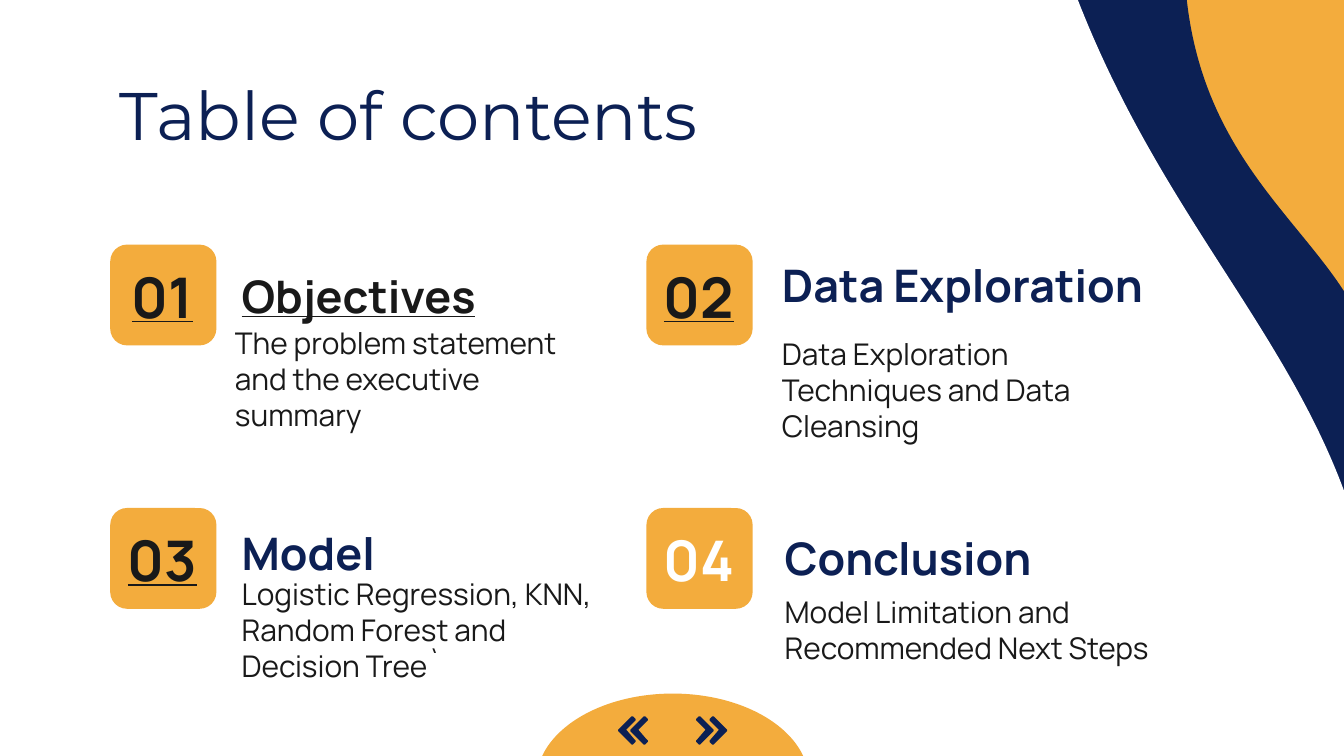
from pptx import Presentation
from pptx.dml.color import RGBColor
from pptx.enum.shapes import MSO_SHAPE
from pptx.enum.text import MSO_ANCHOR, MSO_AUTO_SIZE, PP_ALIGN
from pptx.util import Inches, Pt

WAVE = MSO_SHAPE.FLOWCHART_DOCUMENT
TILE = MSO_SHAPE.ROUNDED_RECTANGLE
PIE = MSO_SHAPE.PIE
MIDDLE = MSO_ANCHOR.MIDDLE
FIXED = MSO_AUTO_SIZE.NONE
LEFT, CENTER = PP_ALIGN.LEFT, PP_ALIGN.CENTER

COLORS = {"gold": "F3AC3D", "navy": "0C2054", "white": "FFFFFF", "ink": "191919"}

TOPICS = [
    dict(num="01", tile=(0.82, 1.82), shade="ink", line=True,
         head="Objectives", tone="ink", under=True, spot=(1.7, 1.91, 2.94, 0.58),
         body="The problem statement and the executive summary",
         place=(1.65, 2.55, 2.94, 0.53)),
    dict(num="02", tile=(4.81, 1.82), shade="ink", line=True,
         head="Data Exploration", tone="navy", under=False, spot=(5.72, 1.75, 2.94, 0.73),
         body="Data Exploration Techniques and Data Cleansing",
         place=(5.72, 2.81, 2.94, 0.18)),
    dict(num="03", tile=(0.82, 3.78), shade="ink", line=True,
         head="Model", tone="navy", under=False, spot=(1.7, 3.78, 2.94, 0.66),
         body="Logistic Regression, KNN, Random Forest and Decision Tree`",
         place=(1.7, 4.42, 2.94, 0.53)),
    dict(num="04", tile=(4.81, 3.78), shade="white", line=False,
         head="Conclusion", tone="navy", under=False, spot=(5.74, 3.86, 2.94, 0.58),
         body="Model Limitation and Recommended Next Steps",
         place=(5.74, 4.42, 2.94, 0.53)),
]

CHEVRON = [(0.02, 0), (0.01, 0.01), (0, 0.02), (0, 0.03), (0.01, 0.04), (0.07, 0.1),
           (0.01, 0.17), (0, 0.18), (0, 0.19), (0.01, 0.2), (0.02, 0.21), (0.03, 0.21),
           (0.04, 0.2), (0.12, 0.12), (0.13, 0.11), (0.13, 0.1), (0.12, 0.09),
           (0.04, 0.01), (0.03, 0)]


def color(name):
    return RGBColor.from_string(COLORS[name])


def paint(shape, fill):
    shape.shadow.inherit = False
    shape.fill.solid()
    shape.fill.fore_color.rgb = color(fill)
    shape.line.fill.background()


def add_form(slide, kind, box, fill, turn=0):
    shape = slide.shapes.add_shape(kind, *map(Inches, box))
    shape.rotation = turn
    paint(shape, fill)
    return shape


def set_text(shape, text, size, tone, font="Manrope", bold=False, under=False, align=LEFT):
    frame = shape.text_frame
    frame.word_wrap = True
    frame.auto_size = FIXED
    frame.vertical_anchor = MIDDLE
    frame.margin_left = frame.margin_right = Inches(0.1)
    frame.margin_top = frame.margin_bottom = Inches(0.1)
    para = frame.paragraphs[0]
    para.alignment = align
    run = para.add_run()
    run.text = text
    run.font.name = font
    run.font.size = Pt(size)
    run.font.bold = bold
    run.font.underline = under
    run.font.color.rgb = color(tone)


def add_text(slide, box, text, size, tone, **style):
    shape = slide.shapes.add_textbox(*map(Inches, box))
    set_text(shape, text, size, tone, **style)


def add_title(slide, text):
    title = slide.shapes.title
    title.left, title.top, title.width, title.height = map(Inches, (0.79, 0.58, 8.43, 0.53))
    set_text(title, text, 36, "navy", font="Montserrat")
    slide.shapes._spTree.append(title._element)


def add_topic(slide, topic):
    left, top = topic["tile"]
    add_form(slide, TILE, (left, top, 0.79, 0.75), "gold")
    add_text(slide, (left - 0.02, top + 0.09, 0.82, 0.58), topic["num"], 30, topic["shade"],
             bold=True, under=topic["line"], align=CENTER)
    add_text(slide, topic["spot"], topic["head"], 24, topic["tone"],
             bold=True, under=topic["under"])
    add_text(slide, topic["place"], topic["body"], 16, "ink")


def add_arrow(slide, start, way):
    points = [(Inches(start + way * x), Inches(5.33 + y)) for x, y in CHEVRON]
    pen = slide.shapes.build_freeform(*points[0])
    pen.add_line_segments(points[1:], close=True)
    paint(pen.convert_to_shape(), "navy")


def main():
    deck = Presentation()
    deck.slide_width, deck.slide_height = Inches(10), Inches(10 * 9 / 16)
    slide = deck.slides.add_slide(deck.slide_layouts[5])
    back = slide.background.fill
    back.solid()
    back.fore_color.rgb = color("gold")
    add_form(slide, WAVE, (4.66, -1.37, 4.36, 6.93), "navy", turn=267)
    add_form(slide, WAVE, (-0.56, -2.74, 10.13, 11.42), "white", turn=264.8)
    add_title(slide, "Table of contents")
    for topic in TOPICS:
        add_topic(slide, topic)
    dome = add_form(slide, PIE, (3.99, 5.16, 2.03, 1.31), "gold", turn=180)
    dome.adjustments[0] = 0
    dome.adjustments[1] = 108
    for start, way in ((5.18, 1), (5.28, 1), (4.82, -1), (4.73, -1)):
        add_arrow(slide, start, way)
    deck.save("out.pptx")


if __name__ == "__main__":
    main()
